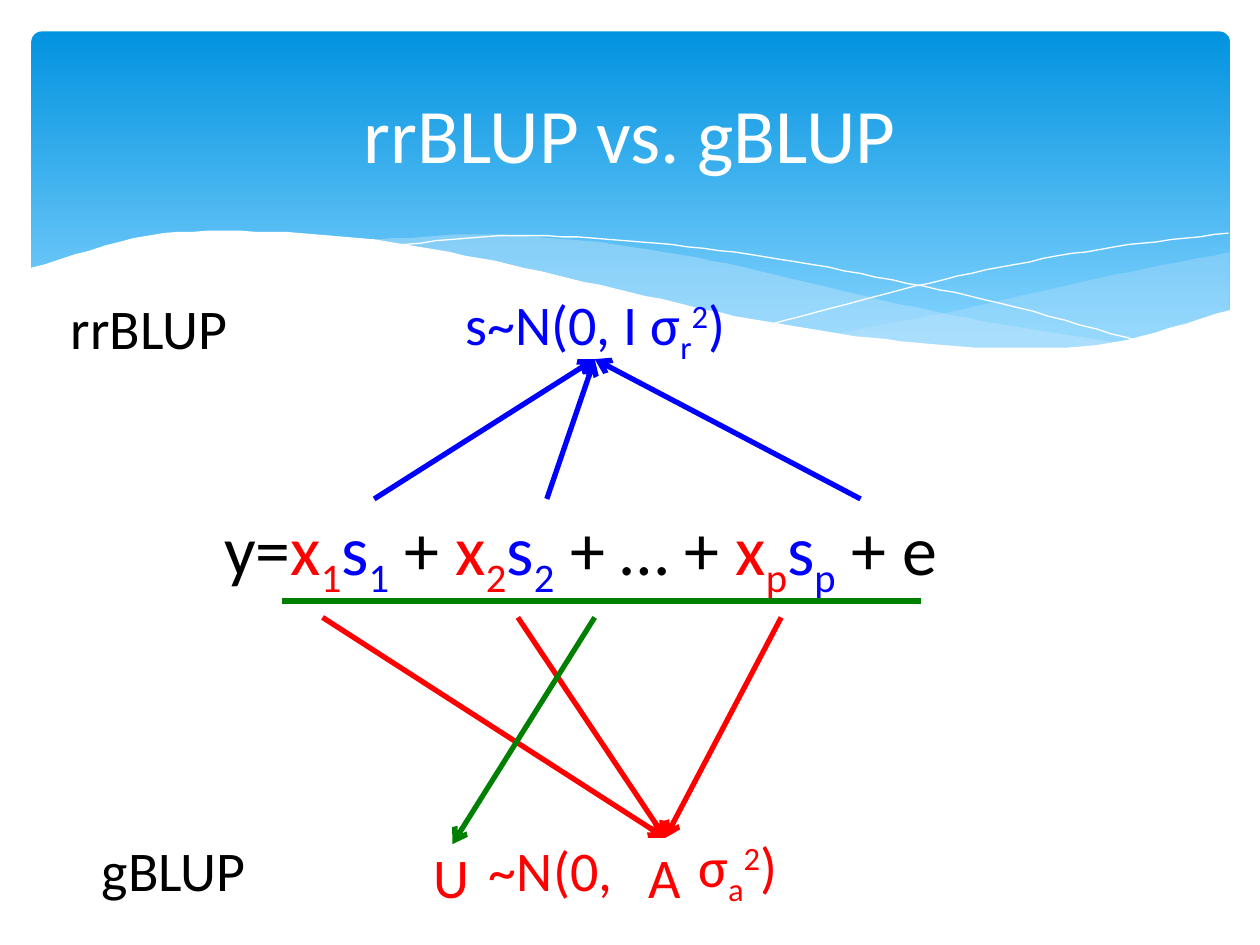
from lxml import etree
from pptx import Presentation
from pptx.dml.color import RGBColor
from pptx.enum.shapes import MSO_CONNECTOR, MSO_SHAPE
from pptx.enum.text import MSO_ANCHOR, PP_ALIGN
from pptx.oxml.ns import qn
from pptx.util import Pt

PX = 9144
ROUNDED = MSO_SHAPE.ROUNDED_RECTANGLE
STRAIGHT = MSO_CONNECTOR.STRAIGHT
MIDDLE, TOP = MSO_ANCHOR.MIDDLE, MSO_ANCHOR.TOP
CENTER, LEFT = PP_ALIGN.CENTER, PP_ALIGN.LEFT
FONT = "Calibri"
SUB, SUP = -25000, 30000
STEPS = 8
COLORS = {
    "white": "FFFFFF", "black": "000000", "red": "FF0000", "blue": "0000FF",
    "green": "008000", "wave": "C6E7FC", "band_top": "0293E0", "band_bottom": "83D3FE",
}
RGB = {name: RGBColor.from_string(value) for name, value in COLORS.items()}


def write(frame, runs, size, align, anchor):
    frame.word_wrap = True
    frame.vertical_anchor = anchor
    paragraph = frame.paragraphs[0]
    paragraph.alignment = align
    for text, color, baseline in runs:
        run = paragraph.add_run()
        run.text = text
        run.font.name = FONT
        run.font.size = Pt(size)
        run.font.color.rgb = RGB[color]
        if baseline:
            run._r.get_or_add_rPr().set("baseline", str(baseline))


def smooth_edge(left, right, heights):
    spacing = (right - left) / (len(heights) - 1)
    before = 2 * heights[0] - heights[1]
    after = 2 * heights[-1] - heights[-2]
    padded = [before, *heights, after]
    points = []
    for i in range(len(heights) - 1):
        a, b, c, d = padded[i:i + 4]
        for step in range(STEPS):
            t = step / STEPS
            bend = (c - a) * t + (2 * a - 5 * b + 4 * c - d) * t**2 + (3 * b - a - 3 * c + d) * t**3
            points.append((left + (i + t) * spacing, b + bend / 2))
    return points + [(right, heights[-1])]


prs = Presentation()
prs.slide_width, prs.slide_height = 1000 * PX, 750 * PX
slide = prs.slides.add_slide(prs.slide_layouts[5])
shapes = slide.shapes

band = shapes.add_shape(ROUNDED, 25 * PX, 25 * PX, 951 * PX, 270 * PX)
band.adjustments[0] = 0.03
band.shadow.inherit = False
band.line.fill.background()
band.fill.gradient()
band.fill.gradient_angle = 270
for stop, color, position in zip(band.fill.gradient_stops, ("band_top", "band_bottom"), (0, 0.9)):
    stop.color.rgb = RGB[color]
    stop.position = position

right_top = smooth_edge(661, 976, [265, 245, 221, 200])
right_bottom = smooth_edge(661, 976, [265, 277, 274, 247])
middle_top = smooth_edge(286, 893, [191, 186, 194, 212, 236, 257, 273])
middle_bottom = smooth_edge(286, 893, [191, 208, 231, 253, 269, 278, 273])
falling_line = smooth_edge(309, 907, [195, 187, 192, 204, 222, 244, 272])
rising_line = smooth_edge(613, 975, [257, 233, 212, 196, 185])
page_top = smooth_edge(23, 977, [213, 187, 184, 192, 210, 232, 253, 268, 276, 272, 246])
page_bottom = [(23, 329), (977, 329)]

waves = [
    (right_top, right_bottom, "wave", 29),
    (middle_top, middle_bottom, "wave", 40),
    (falling_line, [], "white", 100),
    (rising_line, [], "white", 100),
    (page_top, page_bottom, "white", 100),
]
for upper, lower, color, opacity in waves:
    outline = upper + lower[::-1]
    builder = shapes.build_freeform(*outline[0], scale=PX)
    builder.add_line_segments(outline[1:], close=bool(lower))
    wave = builder.convert_to_shape()
    wave.shadow.inherit = False
    if lower:
        wave.line.fill.background()
        wave.fill.solid()
        wave.fill.fore_color.rgb = RGB[color]
        tint = wave._element.spPr.find(qn("a:solidFill"))[0]
        etree.SubElement(tint, qn("a:alpha")).set("val", str(opacity * 1000))
    else:
        wave.fill.background()
        wave.line.color.rgb = RGB[color]
        wave.line.width = 0

title = shapes.title
title.left, title.top, title.width, title.height = 50 * PX, 37 * PX, 900 * PX, 137 * PX
write(title.text_frame, [("rrBLUP vs. gBLUP", "white", 0)], 44, CENTER, MIDDLE)
shapes._spTree.append(title._element)

equation_runs = [("y=", "black", 0)]
for index, joint in (("1", " + "), ("2", " + … + "), ("p", " + e")):
    equation_runs += [("x", "red", 0), (index, "red", SUB), ("s", "blue", 0),
                      (index, "blue", SUB), (joint, "black", 0)]
equation = shapes.add_textbox(168 * PX, 396 * PX, 740 * PX, 77 * PX)
write(equation.text_frame, equation_runs, 40, LEFT, TOP)

above_equation, underline, below_equation = 396, 477, 490
marker_variance, kinship, breeding_value = (472, 285), (528, 665), (359, 670)
fans = [
    ((620, 411, 256), below_equation, kinship, "red", True),
    ((297, 434, 683), above_equation, marker_variance, "blue", True),
    ((224,), underline, (731, underline), "green", False),
    ((472,), below_equation, breeding_value, "green", True),
]
for starts, level, target, color, pointed in fans:
    for start in starts:
        link = shapes.add_connector(
            STRAIGHT, start * PX, level * PX, target[0] * PX, target[1] * PX)
        link.line.color.rgb = RGB[color]
        link.line.width = Pt(3)
        if pointed:
            line = link._element.spPr.find(qn("a:ln"))
            etree.SubElement(line, qn("a:tailEnd")).set("type", "arrow")
        etree.SubElement(link._element.spPr, qn("a:effectLst"))

rr_row, g_row, g_symbol_row = 235, 665, 670
inset, wide_inset = 10, 48
labels = [
    (334, g_row, 168, wide_inset, [("~N(0,", "red", 0)]),
    (315, rr_row, 315, inset, [("s~N(0, I σ", "blue", 0), ("r", "blue", SUB),
                               ("2", "blue", SUP), (")", "blue", 0)]),
    (320, g_symbol_row, 77, inset, [("U", "red", 0)]),
    (492, g_symbol_row, 71, inset, [("A", "red", 0)]),
    (528, g_row, 115, inset, [("σ", "red", 0), ("a", "red", SUB),
                              ("2", "red", SUP), (")", "red", 0)]),
    (25, rr_row, 187, inset, [("rrBLUP", "black", 0)]),
    (50, g_row, 176, inset, [("gBLUP", "black", 0)]),
]
for left, top, width, left_inset, runs in labels:
    label = shapes.add_textbox(left * PX, top * PX, width * PX, 50 * PX)
    label.text_frame.margin_left = left_inset * PX
    write(label.text_frame, runs, 32, CENTER, MIDDLE)

prs.save("out.pptx")
